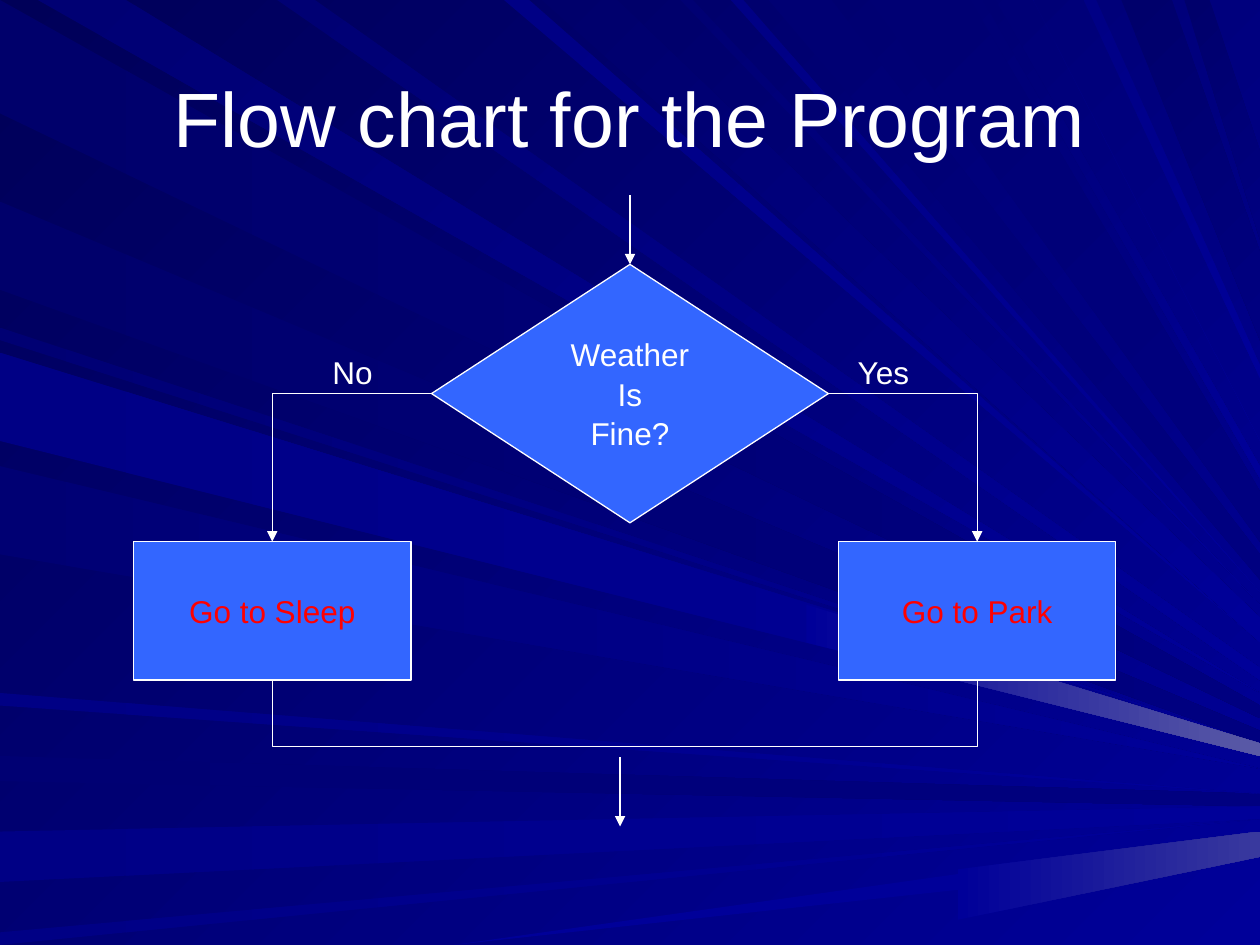
from lxml import etree
from pptx import Presentation
from pptx.dml.color import RGBColor
from pptx.enum.shapes import MSO_CONNECTOR as Connector, MSO_SHAPE as Shape
from pptx.enum.text import MSO_ANCHOR as Anchor, PP_ALIGN as Align
from pptx.oxml.ns import qn
from pptx.util import Cm, Pt

COLORS = {"white": "FFFFFF", "box": "3366FF", "red": "FF0000",
          "night": "000058", "shade": "00006B", "dusk": "000073", "navy": "000080",
          "dawn": "000085", "blue": "000099", "glow": "5A5AA6", "haze": "39399E"}
WIDTH, HEIGHT = 25.4, 19.05
MIDDLE = WIDTH / 2
BRANCH_Y = 7.94
BOX_TOP, BOX_WIDTH, BOX_HEIGHT = 10.92, 5.59, 2.79
LEFT_X, RIGHT_X = 5.49, 19.7
JOIN_Y = 15.06

RAY_UNIT = Cm(0.254)  # the slide is 100 units wide and 75 high
RAY_RIGHT, RAY_BOTTOM = 100, 75
RAY_FOCUS = (115, 64)  # all rays run towards this point
# Start colour, end colour, the two edges: top edge if positive, left edge if negative
RAYS = [
    ("shade", "navy", -0.2, -9.3), ("dusk", "blue", 10.1, 2.6),
    ("dusk", "navy", -59.6, -62.3), ("dawn", "blue", -66.5, -70.4),
    ("dawn", "blue", -73.5, -75), ("dusk", "blue", -25.8, -27),
    ("shade", "navy", -15.9, -22.8), ("dawn", "blue", 39.8, 41.6),
    ("shade", "blue", 42.6, 49.2), ("dusk", "blue", 54, 55.2),
    ("dusk", "navy", 60.6, 66.1), ("shade", "navy", 88.7, 93),
    ("shade", "navy", 93.9, 96.4), ("dawn", "blue", -27.8, -34.2),
    ("dusk", "blue", -37.4, -43.7), ("dawn", "blue", -55.2, -56),
    ("dusk", "blue", 22.5, 24.7), ("dawn", "blue", 57.7, 58.8),
    ("dusk", "navy", 68.6, 77), ("dusk", "blue", 78.5, 79.2),
    ("dawn", "blue", 81.5, 82.4), ("dawn", "blue", 86.5, 87.2),
    ("dawn", "blue", -28.3, -34.7),
]


def rgb(name):
    return RGBColor.from_string(COLORS[name])


def fill_gradient(fill, start, end, angle):
    fill.gradient()
    fill.gradient_angle = -angle % 360
    for stop, name in zip(fill.gradient_stops, (start, end)):
        stop.color.rgb = rgb(name)


def ray_point(edge, x):
    """Point at x on the line from a place on the slide's edge to the focus."""
    edge_x, edge_y = max(edge, 0), max(-edge, 0)
    x = max(x, edge_x)
    share = (x - edge_x) / (RAY_FOCUS[0] - edge_x)
    return x, min(edge_y + share * (RAY_FOCUS[1] - edge_y), RAY_BOTTOM)


def add_ray(slide, start, end, first, second, begin=0):
    corners = [ray_point(first, begin), ray_point(first, RAY_RIGHT),
               ray_point(second, RAY_RIGHT), ray_point(second, begin)]
    builder = slide.shapes.build_freeform(*corners[0], scale=RAY_UNIT)
    builder.add_line_segments(corners[1:], close=True)
    ray = builder.convert_to_shape()
    ray.shadow.inherit = False
    ray.line.fill.background()
    fill_gradient(ray.fill, start, end, 45 if first > 0 else 0)


def write_text(shape, lines, size=18, color="white", align=Align.CENTER, **frame_format):
    frame = shape.text_frame
    for name, value in {"word_wrap": False, **frame_format}.items():
        setattr(frame, name, value)
    for index, line in enumerate(lines):
        paragraph = frame.paragraphs[0] if index == 0 else frame.add_paragraph()
        paragraph.text = line
        paragraph.alignment = align
        if index:
            paragraph.space_before = Pt(1)
        for name, value in {"name": "Arial", "size": Pt(size)}.items():
            setattr(paragraph.font, name, value)
        paragraph.font.color.rgb = rgb(color)


def add_label(slide, box, text, **text_format):
    label = slide.shapes.add_textbox(*map(Cm, box))
    write_text(label, [text], **text_format)


def add_step(slide, kind, box, lines, color="white"):
    step = slide.shapes.add_shape(kind, *map(Cm, box))
    step.shadow.inherit = False
    step.fill.solid()
    step.fill.fore_color.rgb = rgb("box")
    step.line.color.rgb = rgb("white")
    step.line.width = Pt(0.75)
    write_text(step, lines, color=color, vertical_anchor=Anchor.MIDDLE)


def add_link(slide, begin, end, kind=Connector.STRAIGHT, arrow=True):
    link = slide.shapes.add_connector(kind, *map(Cm, begin + end))
    link.line.color.rgb = rgb("white")
    link.line.width = Pt(0.75)
    properties = link._element.spPr
    if arrow:
        etree.SubElement(properties.find(qn("a:ln")), qn("a:tailEnd"), type="triangle")
    etree.SubElement(properties, qn("a:effectLst"))
    return link


def add_branch(slide, begin, end):
    """Arrow that runs sideways and then down, with one bend."""
    link = add_link(slide, begin, end, Connector.ELBOW)
    link._element.spPr.find(qn("a:prstGeom")).set("prst", "bentConnector2")


def add_join(slide, left, right, top, bottom):
    """U-shaped line: a thin elbow connector turned by 270 degrees."""
    thin = 0.02
    center, half = (left + right) / 2, (right - left) / 2
    link = add_link(slide, (center + thin / 2, top - half), (center - thin / 2, top + half),
                    Connector.ELBOW, arrow=False)
    properties = link._element.spPr
    properties.find(qn("a:xfrm")).set("rot", str(270 * 60000))
    geometry = properties.find(qn("a:prstGeom"))
    guides = geometry.find(qn("a:avLst"))
    if guides is None:
        guides = etree.SubElement(geometry, qn("a:avLst"))
    depth = round((bottom - top) / thin * 100000)
    etree.SubElement(guides, qn("a:gd"), name="adj1", fmla=f"val {depth}")


def main():
    presentation = Presentation()
    presentation.slide_width, presentation.slide_height = Cm(WIDTH), Cm(HEIGHT)
    slide = presentation.slides.add_slide(presentation.slide_layouts[6])
    fill_gradient(slide.background.fill, "night", "blue", 45)
    for ray in RAYS:
        add_ray(slide, *ray)
    add_ray(slide, "blue", "glow", -28.3, -34.7, begin=63.5)
    add_ray(slide, "blue", "blue", -79.4, -91.1, begin=36.4)
    add_ray(slide, "blue", "haze", -79.4, -91.1, begin=75.6)

    add_label(slide, (1.27, 0.76, 22.86, 3.18), "Flow chart for the Program", size=44,
              word_wrap=True, vertical_anchor=Anchor.MIDDLE)
    add_step(slide, Shape.FLOWCHART_DECISION, (MIDDLE - 4, 5.33, 8, 5.21),
             ["Weather", "Is", "Fine?"])
    add_link(slide, (MIDDLE, 3.94), (MIDDLE, 5.33))
    for side, center in ((1, RIGHT_X), (-1, LEFT_X)):
        add_branch(slide, (MIDDLE + side * 4, BRANCH_Y), (center, BOX_TOP))
    for left, width, text in ((6.45, 1.32, "No"), (17.04, 1.6, "Yes")):
        add_label(slide, (left, 6.99, width, 1.02), text, align=Align.LEFT)
    add_join(slide, LEFT_X, RIGHT_X, BOX_TOP + BOX_HEIGHT, JOIN_Y)
    add_link(slide, (12.5, 15.27), (12.5, 16.66))
    for center, text in ((RIGHT_X, "Go to Park"), (LEFT_X, "Go to Sleep")):
        add_step(slide, Shape.FLOWCHART_PROCESS,
                 (center - BOX_WIDTH / 2, BOX_TOP, BOX_WIDTH, BOX_HEIGHT), [text], "red")

    presentation.save("out.pptx")


if __name__ == "__main__":
    main()
